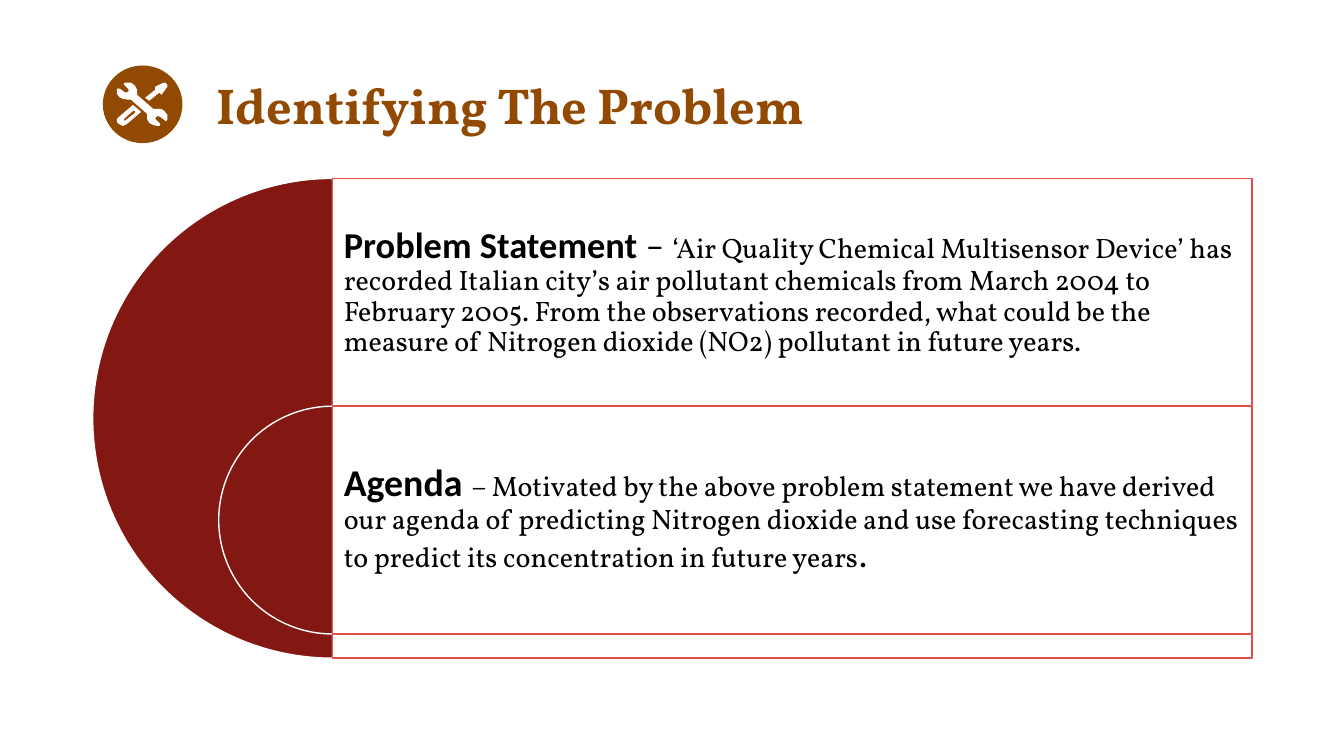
from pptx import Presentation
from pptx.dml.color import RGBColor
from pptx.enum import shapes as es, text as et
from pptx.util import Pt

COLORS = {"brown": "924A03", "maroon": "831813", "red": "E54F47",
          "white": "FFFFFF", "black": "000000"}
HEAD, BODY = "Calibri", "Vollkorn"

# Runs: text, size, font, bold
TITLE = [("Identifying The Problem", 36, BODY, True)]
PROBLEM = [
    ("Problem Statement ", 26, HEAD, True),
    ("– ", 26, HEAD, False),
    ("‘Air Quality Chemical Multisensor Device’ has recorded Italian city’s "
     "air pollutant chemicals from March 2004 to February 2005. From the "
     "observations recorded, what could be the measure of Nitrogen dioxide "
     "(NO2) pollutant in future years.", 20, BODY, False),
]
AGENDA = [
    ("Agenda ", 27, HEAD, True),
    ("– Motivated by the above problem statement we have derived our agenda "
     "of predicting Nitrogen dioxide and use forecasting techniques to "
     "predict its concentration in future years", 20, BODY, False),
    (".", 27, HEAD, False),
]

# Icon outlines, in units of 0.72 pt
UNIT = 0.72
JAW = [(136, 94), (136, 93), (136, 89), (134, 85), (130, 82.5), (126, 82),
       (124, 82), (123, 83), (123, 84), (127, 88), (128, 89.5), (127, 91),
       (125, 92), (123, 91), (119, 88), (118, 87.5), (117, 87.5), (116, 88),
       (116, 93), (119, 97), (122, 98.5), (127, 99), (130, 99)]
WRENCH = JAW + [(282 - x, 207 - y) for x, y in JAW]
HANDLE = [(132, 104), (118, 116), (116, 118), (116, 121), (118, 123),
          (120, 124.5), (122, 125), (124, 124.5), (126, 123), (140, 111)]
SLOT = [(133, 110), (134, 110), (134.5, 111), (134, 112), (125, 119),
        (124, 120), (123, 119), (123, 118), (132, 110)]
BLADE = [(163, 82), (162, 82), (154, 86), (153.5, 87), (154, 88), (154, 89),
         (144, 97), (148, 100), (158, 92), (159, 93), (160, 93.5), (161, 93),
         (166, 86), (166.5, 85), (166, 84), (164, 82)]
ICON = [[WRENCH], [HANDLE, SLOT], [BLADE]]

LEFT, TOP, WIDTH, HEIGHT = 237.6, 127.44, 656.64, 342.72
ROW = 162.72
BANDS = [(TOP, HEIGHT, PROBLEM), (TOP + ROW, ROW, AGENDA)]

prs = Presentation()
prs.slide_width, prs.slide_height = Pt(960), Pt(540)
slide = prs.slides.add_slide(prs.slide_layouts[6])
parts = slide.shapes


def color(name):
    return RGBColor.from_string(COLORS[name])


def paint(shape, fill, line=None):
    shape.shadow.inherit = False
    shape.fill.solid()
    shape.fill.fore_color.rgb = color(fill)
    if line:
        shape.line.color.rgb = color(line)
        shape.line.width = Pt(1)
    else:
        shape.line.fill.background()


def add_part(kind, box, fill, line=None):
    shape = parts.add_shape(kind, *map(Pt, box))
    paint(shape, fill, line)
    return shape


def add_text(box, runs, tint, pad=None):
    frame = parts.add_textbox(*map(Pt, box)).text_frame
    frame.word_wrap = True
    frame.vertical_anchor = et.MSO_ANCHOR.MIDDLE
    if pad:
        frame.margin_left = frame.margin_right = Pt(pad)
        frame.margin_top = frame.margin_bottom = Pt(pad)
    para = frame.paragraphs[0]
    para.line_spacing = 0.9
    for words, size, face, bold in runs:
        run = para.add_run()
        run.text = words
        font = run.font
        font.size, font.name, font.bold = Pt(size), face, bold
        font.color.rgb = color(tint)


def add_icon(loops):
    """Draw closed loops as one white shape; inner loops become holes."""
    pen = parts.build_freeform(*loops[0][0], scale=Pt(UNIT))
    for num, loop in enumerate(loops):
        if num:
            pen.move_to(*loop[0])
        pen.add_line_segments(loop[1:], close=True)
    paint(pen.convert_to_shape(), "white")


add_text((147.6, 41.76, 706.32, 71.28), TITLE, "brown")

for top, size, runs in BANDS:
    pie = add_part(es.MSO_SHAPE.PIE, (LEFT - size / 2, top, size, size),
                   "maroon", "white")
    pie.adjustments[0], pie.adjustments[1] = 54, 162
    add_part(es.MSO_SHAPE.RECTANGLE, (LEFT, top, WIDTH, size), "white", "red")
    add_text((LEFT, top, WIDTH, ROW), runs, "black", 8)

add_part(es.MSO_SHAPE.OVAL, (73.44, 46.8, 56.88, 55.44), "brown")
for loops in ICON:
    add_icon(loops)

prs.save("out.pptx")
